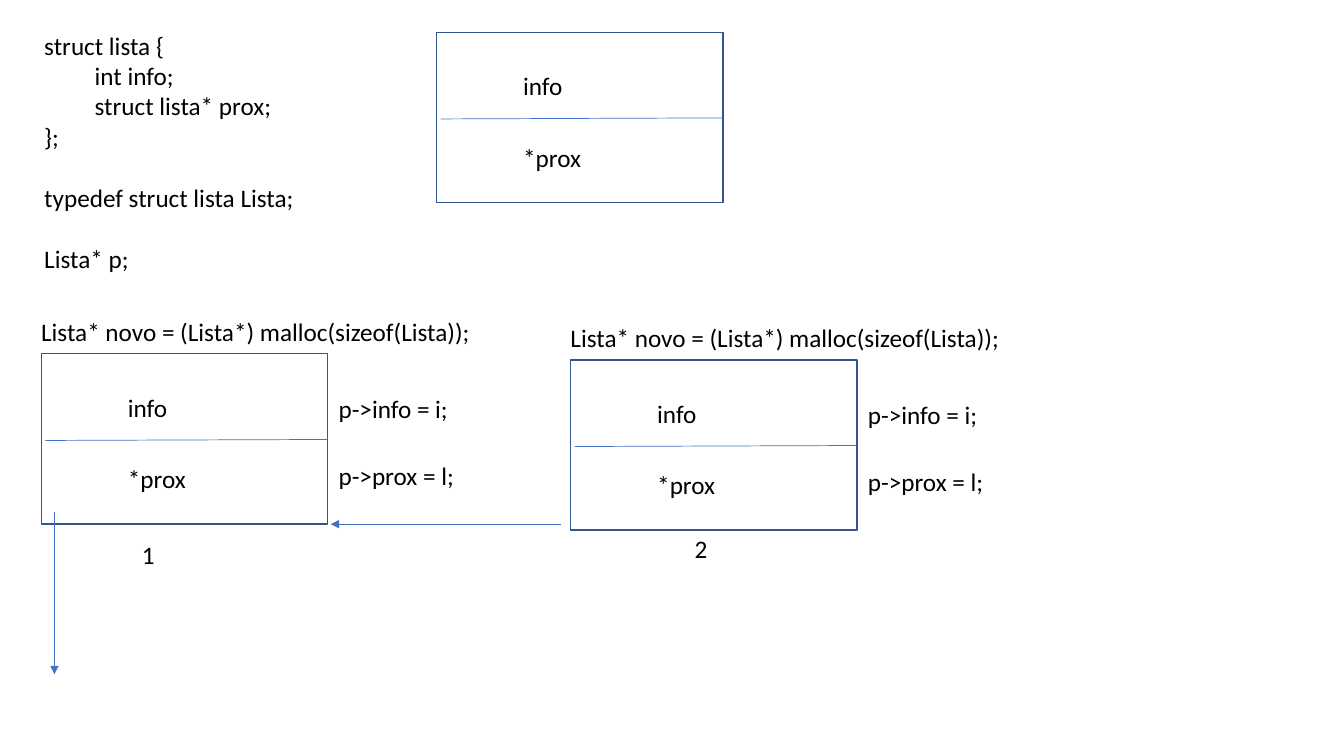
from dataclasses import dataclass

from lxml.etree import SubElement
from pptx import Presentation
from pptx.dml.color import RGBColor
from pptx.enum.shapes import MSO_CONNECTOR, MSO_SHAPE
from pptx.enum.text import MSO_AUTO_SIZE
from pptx.oxml.ns import qn
from pptx.util import Inches, Pt


@dataclass(frozen=True)
class Theme:
    """Colours, font and sizes of the slide."""
    font: str = "Calibri"
    size: float = 18
    blank_line: float = 22
    text: RGBColor = RGBColor(0, 0, 0)
    outline: RGBColor = RGBColor(0x32, 0x54, 0x91)
    link: RGBColor = RGBColor(0x44, 0x72, 0xC4)
    outline_width: float = 1
    link_width: float = 0.5


THEME = Theme()
CODE_BLOCKS = [
    ["struct lista {", "\tint info;", "\tstruct lista* prox;", "};"],
    ["typedef struct lista Lista;"],
    ["Lista* p;"],
]
ALLOCATION = "Lista* novo = (Lista*) malloc(sizeof(Lista));"


def add_span(para, text, size=THEME.size, color=THEME.text):
    """Add formatted text to a paragraph."""
    span = para.add_run()
    span.text = text
    span.font.name = THEME.font
    span.font.size = Pt(size)
    span.font.color.rgb = color


def add_text(page, blocks, left, top, width, height=0.4, wrap=True):
    """Add a text box whose blocks of lines are set one line apart."""
    box = page.shapes.add_textbox(Inches(left), Inches(top), Inches(width), Inches(height))
    frame = box.text_frame
    frame.word_wrap = wrap
    frame.auto_size = MSO_AUTO_SIZE.SHAPE_TO_FIT_TEXT
    para = frame.paragraphs[0]
    for block_index, block in enumerate(blocks):
        for line_index, line in enumerate(block):
            if block_index or line_index:
                para = frame.add_paragraph()
            if block_index and not line_index:
                para.space_before = Pt(THEME.blank_line)
            add_span(para, line)


def add_line(page, start, end, arrow=False):
    """Add a thin line, with an arrowhead at its end if asked."""
    line = page.shapes.add_connector(
        MSO_CONNECTOR.STRAIGHT, *(Inches(value) for value in (*start, *end)))
    line.line.color.rgb = THEME.link
    line.line.width = Pt(THEME.link_width)
    if arrow:
        SubElement(line.line._get_or_add_ln(), qn("a:tailEnd"), type="triangle")
    SubElement(line._element.spPr, qn("a:effectLst"))


def add_node(page, left, top):
    """Add a list node with its info and prox fields."""
    node = page.shapes.add_shape(
        MSO_SHAPE.RECTANGLE, Inches(left), Inches(top), Inches(2.84), Inches(1.69))
    node.shadow.inherit = False
    node.fill.background()
    node.line.color.rgb = THEME.outline
    node.line.width = Pt(THEME.outline_width)
    add_line(page, (left + 0.04, top + 0.86), (left + 2.84, top + 0.85))
    add_text(page, [["info"]], left + 0.76, top + 0.33, 0.6, wrap=False)
    add_text(page, [["*prox"]], left + 0.76, top + 1.04, 0.78, wrap=False)


def add_allocated_node(page, left, top):
    """Add a node with its allocation above and assignments beside it."""
    add_text(page, [[ALLOCATION]], left - 0.1, top - 0.42, 5.94)
    add_node(page, left, top)
    add_text(page, [["p->info = i;"]], left + 2.85, top + 0.34, 1.94)
    add_text(page, [["p->prox = l;"]], left + 2.85, top + 1.01, 1.94)


def main():
    """Build the linked list slide and save it."""
    deck = Presentation()
    deck.slide_width, deck.slide_height = Inches(13.33), Inches(7.5)
    page = deck.slides.add_slide(deck.slide_layouts[6])
    add_text(page, CODE_BLOCKS, 0.34, 0.25, 5.62, 2.83)
    add_node(page, 4.33, 0.32)
    add_allocated_node(page, 0.41, 3.51)
    add_allocated_node(page, 5.66, 3.57)
    add_text(page, [["1"]], 1.31, 5.3, 0.3)
    add_text(page, [["2"]], 6.79, 5.24, 0.3)
    add_line(page, (5.56, 5.2), (3.28, 5.2), arrow=True)
    add_line(page, (0.54, 5.08), (0.54, 6.69), arrow=True)
    deck.save("out.pptx")


main()
